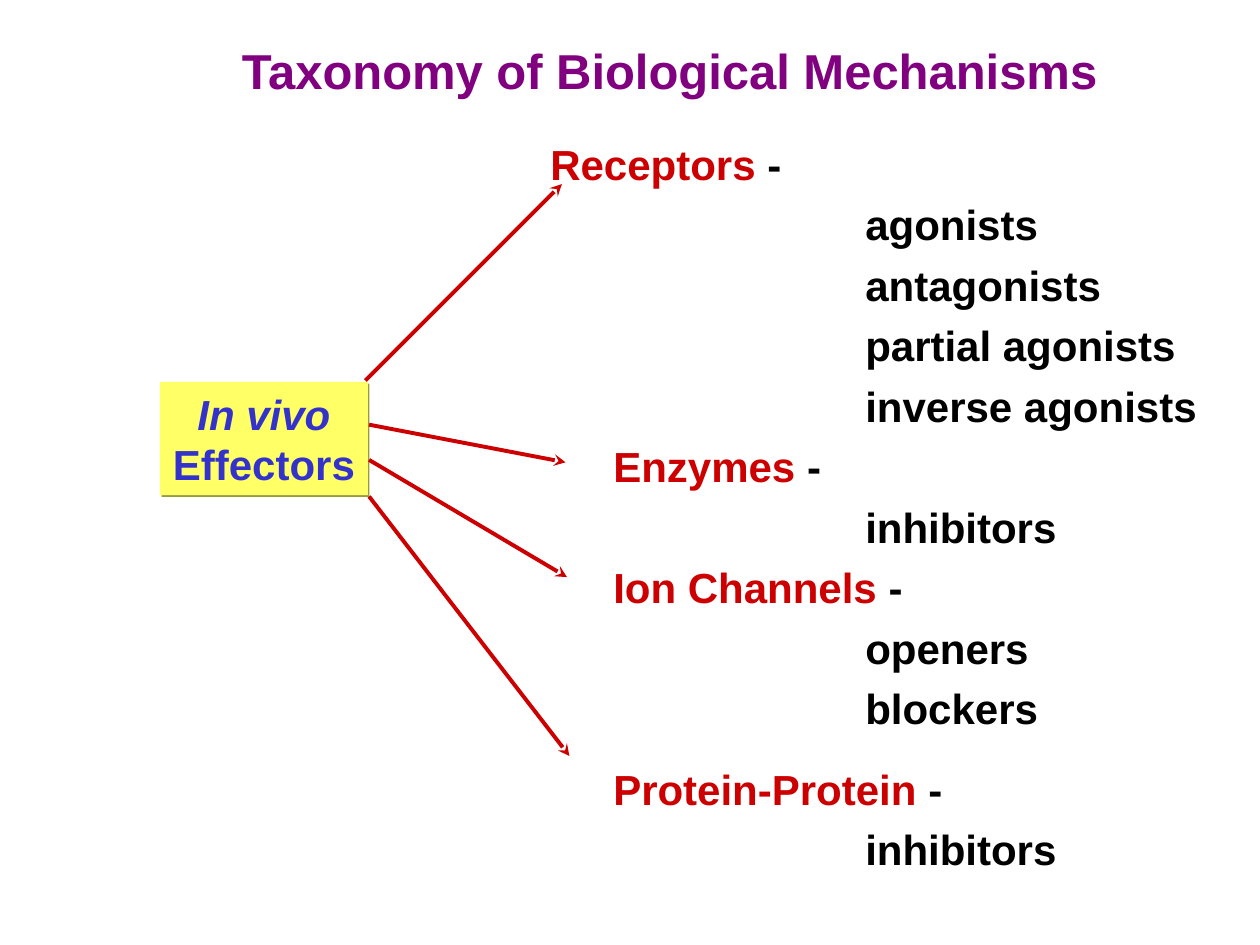
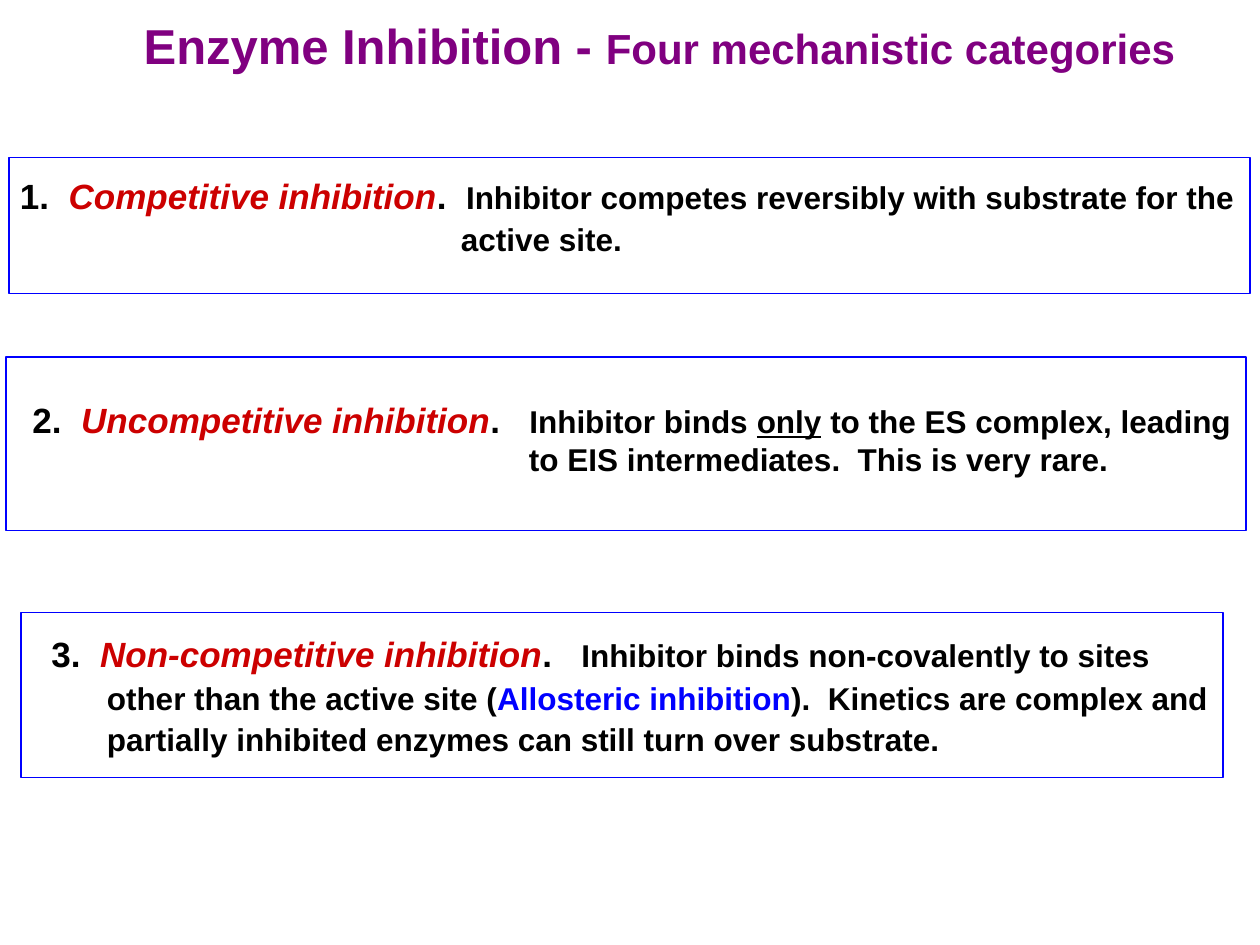
from lxml import etree
from pptx import Presentation
from pptx.dml.color import RGBColor
from pptx.enum.shapes import MSO_CONNECTOR, MSO_SHAPE
from pptx.enum.text import MSO_ANCHOR, MSO_AUTO_SIZE, PP_ALIGN
from pptx.oxml.ns import qn
from pptx.util import Pt

RECT, STRAIGHT = MSO_SHAPE.RECTANGLE, MSO_CONNECTOR.STRAIGHT
TOP, NO_FIT = MSO_ANCHOR.TOP, MSO_AUTO_SIZE.NONE
LEFT, CENTER = PP_ALIGN.LEFT, PP_ALIGN.CENTER

PURPLE = RGBColor(0x80, 0x00, 0x80)
RED = RGBColor(0xCC, 0x00, 0x00)
BLACK = RGBColor(0x00, 0x00, 0x00)
INDIGO = RGBColor(0x33, 0x33, 0xCC)
BLUE = RGBColor(0x00, 0x00, 0xFF)
YELLOW = RGBColor(0xFF, 0xFF, 0x66)
OLIVE = RGBColor(0x99, 0x99, 0x3D)

FONT = "Arial"
FRAME = {"auto_size": NO_FIT, "vertical_anchor": TOP,
         "margin_left": Pt(7.2), "margin_right": Pt(7.2),
         "margin_top": Pt(3.6), "margin_bottom": Pt(3.6)}
NUMBER = {"size": Pt(20)}
TERM = {"size": Pt(20), "color": RED, "italic": True}
BODY = {"size": Pt(18)}

MECHANISMS = [
    ("Receptors ", "-", 0, 1.2,
     ["agonists", "antagonists", "partial agonists", "inverse agonists"]),
    ("Enzymes", " -", 36, 1.2, ["inhibitors"]),
    ("Ion Channels", " -", 36, 1.2, ["openers", "blockers"]),
    ("Protein-Protein ", "-", 36, 1.6, ["inhibitors"]),
]
ARROWS = [((117.4, -0.8), (229.7, -113)), ((119.5, 24.5), (231.8, 46)),
          ((119.5, 44.6), (232.6, 111.6)), ((119.5, 65.5), (234, 213.8))]

CATEGORIES = [
    {"box": (5, 90, 709.2, 77.8), "text": (-0.7, 3.6, 722.2, 57.6),
     "hang": 252, "spacing": 1.1,
     "runs": [("1.  ", NUMBER), ("Competitive inhibition", TERM), (".  ", NUMBER),
              ("Inhibitor competes reversibly with substrate for the active site.", BODY)]},
    {"box": (3.6, 203.8, 708.5, 99.4), "text": (7.9, 20.2, 720, 52.6),
     "hang": 283.7, "spacing": 1.0,
     "runs": [("2.  ", NUMBER), ("Uncompetitive inhibition", TERM), (".   ", NUMBER),
              ("Inhibitor binds ", BODY), ("only", {**BODY, "underline": True}),
              (" to the ES complex, leading to EIS intermediates.  This is very rare.", BODY)]},
    {"box": (12.2, 350, 686.9, 94.3), "text": (10.1, 5.7, 679.7, 81.4),
     "hang": 31.7, "spacing": 1.1,
     "runs": [("3.  ", NUMBER), ("Non-competitive inhibition", TERM), (".   ", NUMBER),
              ("Inhibitor binds non-covalently to sites other than the active site (", BODY),
              ("Allosteric inhibition", {**BODY, "color": BLUE}),
              (").  Kinetics are complex and partially inhibited enzymes can still turn "
               "over substrate.", BODY)]},
]


def points(values):
    """Turn numbers into lengths in points."""
    return [Pt(v) for v in values]


def set_attrs(obj, values):
    """Set each named attribute of an object."""
    for name, value in values.items():
        setattr(obj, name, value)


def prepare_frame(sp, wrap=False):
    """Give a shape the shared text frame settings."""
    tf = sp.text_frame
    set_attrs(tf, {**FRAME, "word_wrap": wrap})
    return tf


def write_paragraph(p, runs, margin=0, indent=0, **values):
    """Fill a paragraph with formatted runs, margins and spacing."""
    set_attrs(p, values)
    pPr = p._p.get_or_add_pPr()
    pPr.set("marL", str(Pt(margin)))
    pPr.set("indent", str(Pt(indent)))
    for text, style in runs:
        r = p.add_run()
        r.text = text
        font = {"name": FONT, "bold": True, "color": BLACK, **style}
        r.font.color.rgb = font.pop("color")
        set_attrs(r.font, font)


def next_paragraph(tf):
    """Return the unused first paragraph, or a new one."""
    first = tf.paragraphs[0]
    return tf.add_paragraph() if first.runs else first


def add_titled_slide(prs, box, runs):
    """Add a title-only slide and place its title."""
    s = prs.slides.add_slide(prs.slide_layouts[5])
    sp = s.shapes.title
    set_attrs(sp, dict(zip(("left", "top", "width", "height"), points(box))))
    tf = prepare_frame(sp)
    write_paragraph(tf.paragraphs[0],
                    [(text, {"size": Pt(size), "color": PURPLE}) for text, size in runs],
                    alignment=LEFT)
    return s


def add_mechanism_list(s, box):
    """List the mechanisms, each with its kinds of agent."""
    tf = prepare_frame(s.shapes.add_textbox(*points(box)))
    plain = {"size": Pt(24)}
    for name, dash, margin, spacing, agents in MECHANISMS:
        write_paragraph(next_paragraph(tf), [(name, {**plain, "color": RED}), (dash, plain)],
                        margin, line_spacing=spacing)
        for agent in agents:
            write_paragraph(next_paragraph(tf), [(agent, plain)], 180, line_spacing=1.2)


def add_arrow(s, start, end):
    """Draw a red arrow between two points."""
    c = s.shapes.add_connector(STRAIGHT, *points(start + end))
    c.line.color.rgb = RED
    c.line.width = Pt(2.25)
    spPr = c._element.spPr
    etree.SubElement(spPr.find(qn("a:ln")), qn("a:tailEnd"), type="stealth")
    etree.SubElement(spPr, qn("a:effectLst"))


def add_effectors(s, box):
    """Draw the effectors box with its shadow and outgoing arrows."""
    sp = s.shapes.add_shape(RECT, *points(box))
    sp.fill.solid()
    sp.fill.fore_color.rgb = YELLOW
    sp.line.fill.background()
    sp.shadow.inherit = False
    shadow = etree.SubElement(sp._element.spPr.find(qn("a:effectLst")), qn("a:outerShdw"),
                              dist=str(Pt(1.4)), dir="2700000", algn="ctr", rotWithShape="0")
    etree.SubElement(shadow, qn("a:srgbClr"), val=str(OLIVE))
    tf = prepare_frame(sp)
    for text, italic in (("In vivo", True), ("Effectors", False)):
        write_paragraph(next_paragraph(tf),
                        [(text, {"size": Pt(24), "color": INDIGO, "italic": italic})],
                        alignment=CENTER)
    left, top = box[:2]
    for start, end in ARROWS:
        add_arrow(s, *((left + x, top + y) for x, y in (start, end)))


def add_category(s, category):
    """Draw one inhibition category: a hanging paragraph in a blue frame."""
    left, top = category["box"][:2]
    dx, dy, width, height = category["text"]
    group = s.shapes.add_group_shape()
    tb = group.shapes.add_textbox(*points((left + dx, top + dy, width, height)))
    tf = prepare_frame(tb, wrap=True)
    write_paragraph(tf.paragraphs[0], category["runs"], category["hang"], -category["hang"],
                    line_spacing=category["spacing"])
    sp = group.shapes.add_shape(RECT, *points(category["box"]))
    sp.fill.background()
    sp.line.color.rgb = BLUE
    sp.line.width = Pt(1)
    sp.shadow.inherit = False


def main():
    """Build both slides and save them."""
    prs = Presentation()
    prs.slide_width, prs.slide_height = Pt(720), Pt(540)

    s = add_titled_slide(prs, (131, 19.4, 505.4, 41),
                         [("Taxonomy of Biological Mechanisms", 28)])
    add_mechanism_list(s, (307.4, 69.8, 383.8, 433.4))
    add_effectors(s, (91.4, 218.2, 118.8, 64.8))

    s = add_titled_slide(prs, (74.9, 5, 604.1, 41),
                         [("Enzyme Inhibition - ", 28), ("Four mechanistic categories", 24)])
    for category in CATEGORIES:
        add_category(s, category)

    prs.save("out.pptx")


if __name__ == "__main__":
    main()
